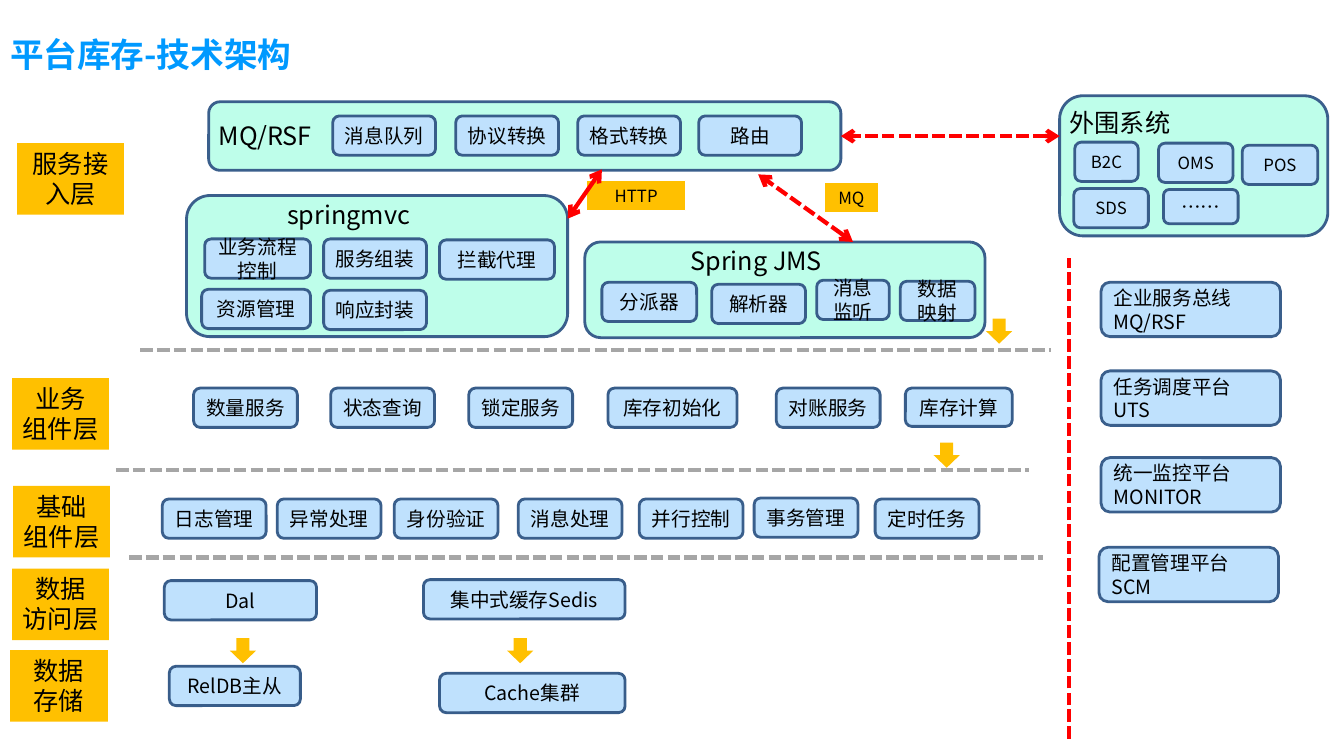
from dataclasses import dataclass

from lxml.etree import SubElement
from pptx import Presentation
from pptx.dml.color import RGBColor
from pptx.enum.dml import MSO_LINE
from pptx.enum.shapes import MSO_CONNECTOR, MSO_SHAPE
from pptx.enum.text import MSO_ANCHOR, MSO_AUTO_SIZE, PP_ALIGN
from pptx.oxml.ns import qn
from pptx.util import Pt

PX = 9144  # EMU per px, 100 px to the inch
FONT = "Noto Sans CJK SC"
BLACK = RGBColor(0x00, 0x00, 0x00)
WHITE = RGBColor(0xFF, 0xFF, 0xFF)
TITLE_BLUE = RGBColor(0x00, 0x99, 0xFF)
AMBER = RGBColor(0xFF, 0xC0, 0x00)
MINT = RGBColor(0xBE, 0xFE, 0xEA)
SKY = RGBColor(0xBF, 0xE1, 0xFD)
NAVY = RGBColor(0x38, 0x5D, 0x8A)
STEEL = RGBColor(0x3A, 0x5F, 0x8C)
GRAY = RGBColor(0xA6, 0xA6, 0xA6)
RED = RGBColor(0xFF, 0x00, 0x00)


@dataclass(frozen=True)
class Item:
    text: str
    left: int
    top: int
    width: int
    height: int = 39
    size: int = 14


@dataclass(frozen=True)
class Wire:
    start: tuple[int, int]
    end: tuple[int, int]
    color: RGBColor
    dashed: bool = True
    arrows: bool = False


def row(top: int, width: int, **lefts: int) -> list[Item]:
    return [Item(text, left, top, width) for text, left in lefts.items()]


# Containers and their captions
GATEWAY = Item("", 207, 101, 627, 68)
PANELS = [Item("", 185, 194, 378, 140), Item("", 580, 240, 397, 95),
          Item("", 1051, 95, 266, 139)]
CAPTIONS = [Item("MQ/RSF", 207, 114, 120, 40, 18), Item("springmvc", 275, 193, 169, 40, 18),
            Item("Spring JMS", 675, 238, 169, 40, 18), Item("外围系统", 1051, 102, 187, 40, 18)]

# Components, by layer
CHIPS = [
    *row(115, 102, 消息队列=330, 协议转换=452, 格式转换=573, 路由=693),
    Item("业务流程控制", 203, 237, 105), Item("服务组装", 321, 237, 102),
    Item("拦截代理", 436, 238, 114), Item("资源管理", 200, 287, 108),
    Item("响应封装", 321, 288, 102),
    Item("分派器", 597, 280, 94), Item("解析器", 706, 282, 93),
    Item("消息监听", 810, 278, 72), Item("数据映射", 893, 279, 74),
    Item("B2C", 1066, 141, 63, size=12), Item("OMS", 1149, 142, 74, size=12),
    Item("POS", 1232, 144, 75, size=12), Item("SDS", 1065, 187, 74, size=12),
    Item("……", 1154, 188, 74, 34),
    *row(385, 103, 数量服务=192, 状态查询=328, 锁定服务=465, 对账服务=770),
    Item("库存初始化", 603, 385, 128), Item("库存计算", 898, 385, 106, 38),
    Item("Dal", 163, 576, 151), Item("集中式缓存Sedis", 420, 575, 200),
    Item("RelDB主从", 168, 661, 130), Item("Cache集群", 436, 668, 184),
]
BASE_CHIPS = [
    *row(495, 103, 日志管理=161, 异常处理=275, 身份验证=391, 消息处理=514,
         并行控制=634, 定时任务=868),
    Item("事务管理", 748, 494, 103),
]
PLATFORMS = [Item("企业服务总线MQ/RSF", 1092, 280, 178, 54),
             Item("任务调度平台UTS", 1092, 368, 178, 54),
             Item("统一监控平台MONITOR", 1092, 454, 178, 54),
             Item("配置管理平台SCM", 1090, 543, 178, 54)]
LAYERS = [Item("服务接入层", 17, 142, 106, 71, 18), Item("业务\n组件层", 12, 375, 96, 71, 18),
          Item("基础\n组件层", 13, 482, 96, 71, 18), Item("数据\n访问层", 12, 564, 96, 71, 18),
          Item("数据\n存储", 10, 645, 97, 71, 18)]
TAGS = [Item("MQ", 818, 181, 53, 30, 12), Item("HTTP", 582, 179, 98, 30, 12)]
DOWN_ARROWS = [Item("", left, top, 26, 25)
               for left, top in ((228, 633), (503, 633), (926, 439), (978, 316))]

# Separators and calls
OUTER_CALL = Wire((1051, 135), (834, 135), RED, arrows=True)
WIRES = [
    *(Wire((left, top), (right, top), GRAY)
      for left, right, top in ((139, 1042, 347), (115, 1021, 466), (128, 1034, 553))),
    Wire((1060, 733), (1060, 256), RED),
    Wire((846, 240), (752, 173), RED, arrows=True),
    Wire((563, 217), (597, 168), RED, dashed=False, arrows=True),
]


def write(frame, text: str, *, size: int, color: RGBColor = BLACK, bold: bool = False,
          align=PP_ALIGN.CENTER, anchor=MSO_ANCHOR.TOP, before: float = 0,
          after: float = 0, inset_left: int = 10, inset_right: int = 10) -> None:
    frame.word_wrap = True
    frame.auto_size = MSO_AUTO_SIZE.NONE
    frame.vertical_anchor = anchor
    frame.margin_left, frame.margin_right = inset_left * PX, inset_right * PX
    frame.margin_top = frame.margin_bottom = 5 * PX
    frame.text = text
    for para in frame.paragraphs:
        para.alignment = align
        para.space_before, para.space_after = Pt(before), Pt(after)
        for span in para.runs:
            span.font.size, span.font.bold = Pt(size), bold
            span.font.name = FONT
            span.font.color.rgb = color
            SubElement(span.font._element, qn("a:ea"), typeface=FONT)


def bounds(item: Item) -> tuple[int, ...]:
    return tuple(n * PX for n in (item.left, item.top, item.width, item.height))


def draw_box(page, item: Item, kind: MSO_SHAPE, fill: RGBColor,
             line: RGBColor | None = None, weight: float = 2, **text_format):
    box = page.shapes.add_shape(kind, *bounds(item))
    box.shadow.inherit = False
    box.fill.solid()
    box.fill.fore_color.rgb = fill
    if line is None:
        box.line.fill.background()
    else:
        box.line.color.rgb = line
        box.line.width = Pt(weight)
    if item.text:
        write(box.text_frame, item.text, size=item.size, **text_format)
    return box


def draw_wire(page, wire: Wire):
    connector = page.shapes.add_connector(
        MSO_CONNECTOR.STRAIGHT, *(n * PX for n in wire.start + wire.end))
    connector.line.color.rgb = wire.color
    connector.line.width = Pt(3)
    if wire.dashed:
        connector.line.dash_style = MSO_LINE.SQUARE_DOT
    if wire.arrows:
        outline = connector.line._get_or_add_ln()
        for end in ("a:headEnd", "a:tailEnd"):
            SubElement(outline, qn(end), type="arrow")
    SubElement(connector._element.spPr, qn("a:effectLst"))
    return connector


def main() -> None:
    deck = Presentation()
    deck.slide_width, deck.slide_height = 1333 * PX, 750 * PX
    page = deck.slides.add_slide(deck.slide_layouts[5])
    rounded = MSO_SHAPE.ROUNDED_RECTANGLE

    # Title
    title = page.shapes.title
    title.left, title.top, title.width, title.height = bounds(Item("", 0, 29, 644, 51))
    write(title.text_frame, "平台库存-技术架构", size=24, color=TITLE_BLUE, bold=True,
          align=PP_ALIGN.LEFT)

    # Containers
    for panel in PANELS:
        draw_box(page, panel, rounded, MINT, STEEL)
    gateway = draw_box(page, GATEWAY, rounded, MINT, STEEL)
    for caption in CAPTIONS:
        box = page.shapes.add_textbox(*bounds(caption))
        write(box.text_frame, caption.text, size=caption.size, align=PP_ALIGN.LEFT)

    # Components and platforms
    centred = dict(anchor=MSO_ANCHOR.MIDDLE, before=3.1, after=3)
    for chips, line in ((CHIPS, NAVY), (BASE_CHIPS, STEEL)):
        for chip in chips:
            draw_box(page, chip, rounded, SKY, line, inset_left=8, inset_right=8, **centred)
    for platform in PLATFORMS:
        draw_box(page, platform, rounded, SKY, STEEL, align=PP_ALIGN.LEFT,
                 inset_right=20, **centred)

    # Layer names, call tags and flow arrows
    for layer in LAYERS:
        draw_box(page, layer, MSO_SHAPE.RECTANGLE, AMBER, inset_left=5, inset_right=5)
    for tag in TAGS:
        draw_box(page, tag, MSO_SHAPE.RECTANGLE, AMBER, WHITE, 0.75)
    for arrow in DOWN_ARROWS:
        draw_box(page, arrow, MSO_SHAPE.DOWN_ARROW, AMBER)

    # Lines
    for wire in WIRES:
        draw_wire(page, wire)
    draw_wire(page, OUTER_CALL).end_connect(gateway, 3)

    deck.save("out.pptx")


if __name__ == "__main__":
    main()
